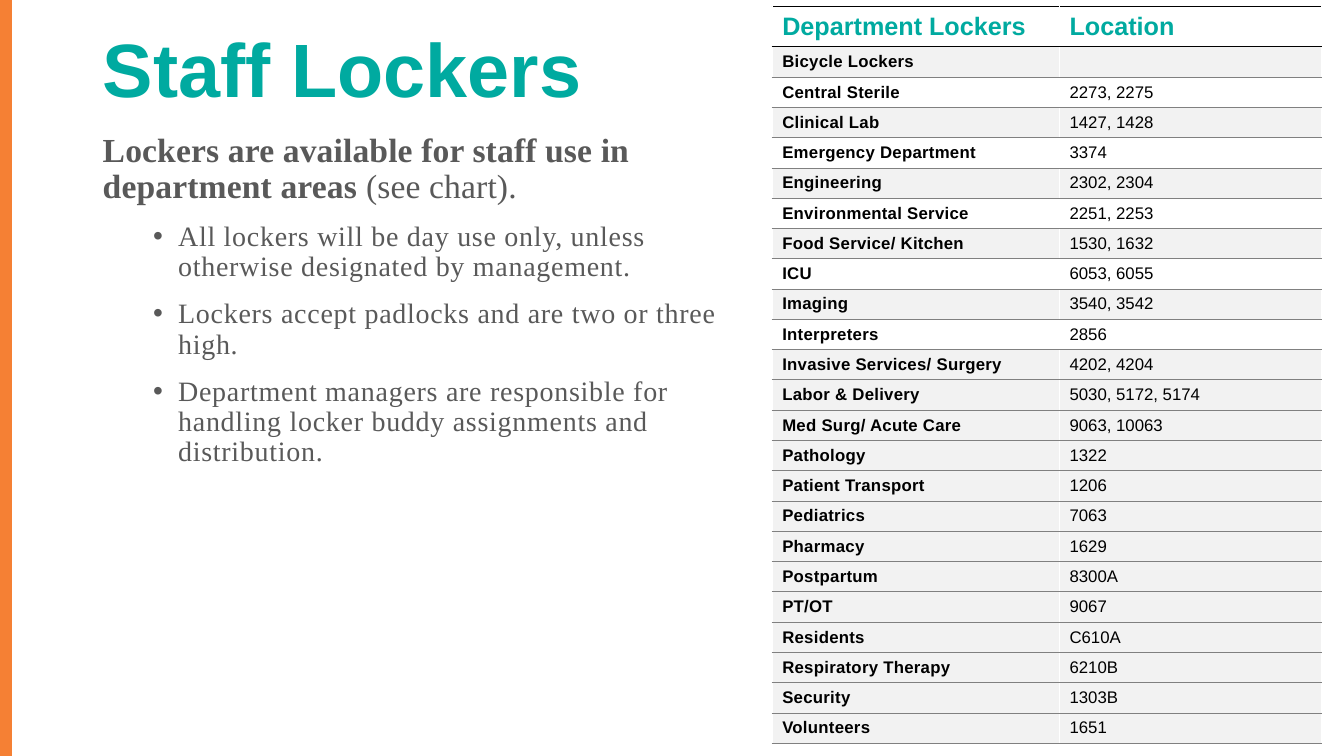
"""Build the staff lockers slide with its table of locker locations."""
from lxml.etree import SubElement
from pptx import Presentation
from pptx.dml.color import RGBColor
from pptx.enum.shapes import MSO_SHAPE
from pptx.enum.text import MSO_ANCHOR
from pptx.oxml import parse_xml
from pptx.oxml.ns import nsdecls, qn
from pptx.util import Cm, Pt

TEAL = RGBColor(0x00, 0xAA, 0xA0)
ORANGE = RGBColor(0xF5, 0x80, 0x34)
SLATE = RGBColor(0x59, 0x59, 0x59)
BLACK = RGBColor(0x00, 0x00, 0x00)
GRAY = RGBColor(0x80, 0x80, 0x80)
PALE = RGBColor(0xF2, 0xF2, 0xF2)
WHITE = RGBColor(0xFF, 0xFF, 0xFF)

TITLE = {"name": "Arial", "size": Pt(54), "bold": True}
LEAD = {"name": "Times New Roman", "size": Pt(24), "bold": True}
BODY = {"name": "Times New Roman", "size": Pt(20), "bold": False}
HEAD = {"name": "Arial", "size": Pt(18), "bold": True}
DEPT = {"name": "Arial", "size": Pt(12), "bold": True}
ROOM = DEPT | {"bold": False}

POINTS = [
    "All lockers will be day use only, unless otherwise designated by management.",
    "Lockers accept padlocks and are two or three high.",
    "Department managers are responsible for handling locker buddy assignments "
    "and distribution.",
]
LOCKERS = [
    ("Bicycle Lockers", ""),
    ("Central Sterile", "2273, 2275"),
    ("Clinical Lab", "1427, 1428"),
    ("Emergency Department", "3374"),
    ("Engineering", "2302, 2304"),
    ("Environmental Service", "2251, 2253"),
    ("Food Service/ Kitchen", "1530, 1632"),
    ("ICU", "6053, 6055"),
    ("Imaging", "3540, 3542"),
    ("Interpreters", "2856"),
    ("Invasive Services/ Surgery", "4202, 4204"),
    ("Labor & Delivery", "5030, 5172, 5174"),
    ("Med Surg/ Acute Care", "9063, 10063"),
    ("Pathology", "1322"),
    ("Patient Transport", "1206"),
    ("Pediatrics", "7063"),
    ("Pharmacy", "1629"),
    ("Postpartum", "8300A"),
    ("PT/OT", "9067"),
    ("Residents", "C610A"),
    ("Respiratory Therapy", "6210B"),
    ("Security", "1303B"),
    ("Volunteers", "1651"),
]
BANDED = 11


class Deck:
    """Hold the style and the current slide."""

    def __init__(self):
        self.prs = Presentation()
        self.prs.slide_width, self.prs.slide_height = Cm(33.87), Cm(19.05)
        self.slide = self.prs.slides.add_slide(self.prs.slide_layouts[6])

    def run(self, para, text, form, color, gap=0):
        """Add a run with the given font values and letter spacing in points."""
        run = para.add_run()
        run.text = text
        for key, value in form.items():
            setattr(run.font, key, value)
        run.font.color.rgb = color
        if gap:
            run.font._element.set("spc", str(round(gap * 100)))

    def box(self, left, top, width, height, anchor=MSO_ANCHOR.TOP):
        """Add a wrapping text box and return its frame."""
        shape = self.slide.shapes.add_textbox(Cm(left), Cm(top), Cm(width), Cm(height))
        frame = shape.text_frame
        frame.word_wrap, frame.vertical_anchor = True, anchor
        frame.paragraphs[0].line_spacing = 0.9
        return frame

    def bullet(self, frame, text):
        """Add an indented bullet point."""
        para = frame.add_paragraph()
        props = para._p.get_or_add_pPr()
        for key, value in {"lvl": 1, "marL": Cm(1.9), "indent": Cm(-0.63)}.items():
            props.set(key, str(int(value)))
        SubElement(props, qn("a:buFont"), typeface="Arial")
        SubElement(props, qn("a:buChar"), char="•")
        para.line_spacing, para.space_before = 0.9, Pt(12)
        self.run(para, text, BODY, SLATE, 0.5)

    def edge(self, cell, lines):
        """Draw cell borders from a dict of side to colour and width."""
        props = cell._tc.get_or_add_tcPr()
        for spot, (side, (color, width)) in enumerate(lines.items()):
            props.insert(spot, parse_xml(
                f'<a:ln{side} {nsdecls("a")} w="{Pt(width)}"><a:solidFill>'
                f'<a:srgbClr val="{color}"/></a:solidFill></a:ln{side}>'))

    def cell(self, cell, text, form, color, fill, lines, gap=0):
        """Fill one table cell."""
        cell.fill.solid()
        cell.fill.fore_color.rgb = fill
        cell.vertical_anchor = MSO_ANCHOR.MIDDLE
        para = cell.text_frame.paragraphs[0]
        if text:
            self.run(para, text, form, color, gap)
        else:
            SubElement(para._p, qn("a:endParaRPr"), sz=str(int(form["size"].pt * 100)))
        self.edge(cell, lines)

    def table(self, left, top, widths, head, rows):
        """Add the table with a header row and partly banded rows."""
        tall = [0.97, 0.74] + [0.755] * (len(rows) - 1)
        table = self.slide.shapes.add_table(
            len(tall), len(widths), Cm(left), Cm(top), Cm(sum(widths)), Cm(sum(tall))).table
        table.first_row = table.horz_banding = False
        for col, width in zip(table.columns, widths):
            col.width = Cm(width)
        for row, height in zip(table.rows, tall):
            row.height = Cm(height)
        rule = (BLACK, 0.5)
        for col, text in enumerate(head):
            self.cell(table.cell(0, col), text, HEAD, TEAL, WHITE, {"T": rule, "B": rule})
        for num, (dept, room) in enumerate(rows):
            fill = WHITE if num < BANDED and num % 2 else PALE
            lines = {"L": (WHITE, 1), "R": (WHITE, 1),
                     "T": (GRAY, 0.5) if num else rule, "B": (GRAY, 0.5)}
            self.cell(table.cell(num + 1, 0), dept, DEPT, BLACK, fill, lines, 0.2)
            self.cell(table.cell(num + 1, 1), room, ROOM, BLACK, fill, lines)

    def bar(self, left, top, width, height, color):
        """Add a plain filled rectangle."""
        bar = self.slide.shapes.add_shape(
            MSO_SHAPE.RECTANGLE, Cm(left), Cm(top), Cm(width), Cm(height))
        bar.shadow.inherit = False
        bar.fill.solid()
        bar.fill.fore_color.rgb = color
        bar.line.fill.background()


def main():
    """Build and save the slide."""
    deck = Deck()
    title = deck.box(2.34, 0, 29.21, 3.68, MSO_ANCHOR.MIDDLE)
    deck.run(title.paragraphs[0], "Staff Lockers", TITLE, TEAL)
    body = deck.box(2.34, 3.23, 16.54, 15.82)
    lead = body.paragraphs[0]
    deck.run(lead, "Lockers are available for staff use in department areas ",
             LEAD, SLATE, 0.1)
    deck.run(lead, "(see chart).", LEAD | {"bold": False}, SLATE, 0.1)
    for text in POINTS:
        deck.bullet(body, text)
    deck.table(19.46, 0.16, [7.24, 6.6], ["Department Lockers", "Location"], LOCKERS)
    deck.bar(0, 0, 0.3, 19.05, ORANGE)
    deck.prs.save("out.pptx")


if __name__ == "__main__":
    main()
